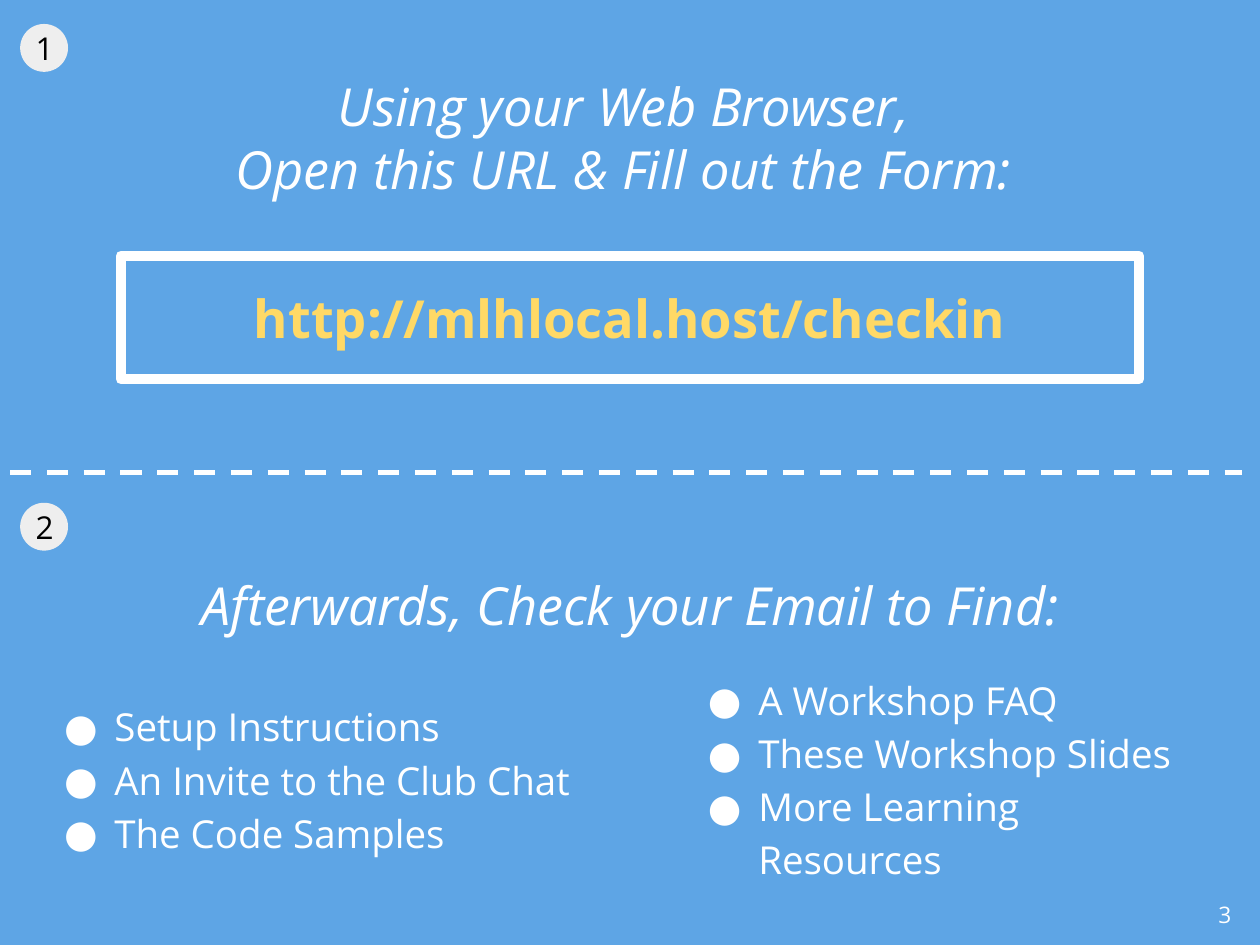
from lxml import etree
from pptx import Presentation
from pptx.dml.color import RGBColor
from pptx.enum.dml import MSO_LINE
from pptx.enum.shapes import MSO_CONNECTOR, MSO_SHAPE
from pptx.enum.text import MSO_ANCHOR, PP_ALIGN
from pptx.oxml.ns import qn
from pptx.util import Inches, Pt

LEFT, CENTER, RIGHT = PP_ALIGN.LEFT, PP_ALIGN.CENTER, PP_ALIGN.RIGHT
TOP, MIDDLE = MSO_ANCHOR.TOP, MSO_ANCHOR.MIDDLE
RECT, OVAL = MSO_SHAPE.RECTANGLE, MSO_SHAPE.OVAL

# Content
FONT = "Open Sans"
BLUE, WHITE, YELLOW, GREY, BLACK = "5EA5E5", "FFFFFF", "FFD966", "EEEEEE", "000000"
URL = "http://mlhlocal.host/checkin"
PAGE_NUMBER = "3"
STEPS = [  # number, badge top, heading top, heading lines
    ("1", 0.19, 0.63, ["Using your Web Browser, ", "Open this URL & Fill out the Form: "]),
    ("2", 3.99, 4.34, ["Afterwards, Check your Email to Find:"]),
]
LISTS = [  # left, width, items
    (0.31, 4.45, ["Setup Instructions", "An Invite to the Club Chat", "The Code Samples"]),
    (5.42, 4.28, ["A Workshop FAQ", "These Workshop Slides", "More Learning Resources"]),
]


def rgb(value):
    return RGBColor.from_string(value)


def add_bullet(p):
    pPr = p._p.get_or_add_pPr()
    pPr.set("marL", str(Inches(0.5)))
    pPr.set("indent", str(Inches(-0.4)))
    color = etree.SubElement(pPr, qn("a:buClr"))
    etree.SubElement(color, qn("a:srgbClr"), val=WHITE)
    etree.SubElement(pPr, qn("a:buFont"), typeface=FONT)
    etree.SubElement(pPr, qn("a:buChar"), char="●")
    p.line_spacing = 1.15


def write(sp, lines, size, color=WHITE, align=CENTER, anchor=MIDDLE,
          bold=False, italic=False, bullets=False):
    tf = sp.text_frame
    tf.word_wrap = True
    tf.vertical_anchor = anchor
    tf.margin_left = tf.margin_right = tf.margin_top = tf.margin_bottom = Inches(0.1)
    for i, line in enumerate(lines):
        p = tf.add_paragraph() if i else tf.paragraphs[0]
        p.alignment = align
        if bullets:
            add_bullet(p)
        r = p.add_run()
        r.text = line
        r.font.name, r.font.size = FONT, Pt(size)
        r.font.bold, r.font.italic = bold, italic
        r.font.color.rgb = rgb(color)


def add_text(s, box, lines, size, **style):
    write(s.shapes.add_textbox(*map(Inches, box)), lines, size, **style)


def add_filled(s, kind, box, fill):
    sp = s.shapes.add_shape(kind, *map(Inches, box))
    sp.shadow.inherit = False
    sp.fill.solid()
    sp.fill.fore_color.rgb = rgb(fill)
    sp.line.fill.background()
    return sp


prs = Presentation()
prs.slide_width, prs.slide_height = Inches(10), Inches(7.5)
s = prs.slides.add_slide(prs.slide_layouts[6])
s.background.fill.solid()
s.background.fill.fore_color.rgb = rgb(BLUE)

# Page number
add_text(s, (9.27, 7.05, 0.6, 0.57), [PAGE_NUMBER], 13, align=RIGHT, anchor=TOP)

# Framed address with rounded line joins
frame = add_filled(s, RECT, (0.96, 2.03, 8.08, 0.98), BLUE)
frame.line.color.rgb = rgb(WHITE)
frame.line.width = Pt(6)
etree.SubElement(frame.line._get_or_add_ln(), qn("a:round"))
write(frame, [URL], 30, color=YELLOW, bold=True)

# Dashed divider between the steps
divider = s.shapes.add_connector(
    MSO_CONNECTOR.STRAIGHT, Inches(0.08), Inches(3.75), Inches(9.86), Inches(3.75))
divider.line.color.rgb = rgb(WHITE)
divider.line.width = Pt(3)
divider.line.dash_style = MSO_LINE.DASH
etree.SubElement(divider._element.spPr, qn("a:effectLst"))

# Headings and numbered badges
for number, badge_top, heading_top, heading in STEPS:
    add_text(s, (0.18, heading_top, 9.65, 0.92), heading, 30, italic=True)
    add_filled(s, OVAL, (0.16, badge_top, 0.38, 0.38), GREY)
    add_text(s, (0.11, badge_top - 0.06, 0.49, 0.5), [number], 18, color=BLACK)

# Bulleted lists
for left, width, items in LISTS:
    add_text(s, (left, 5.25, width, 1.82), items, 22, align=LEFT, bullets=True)

prs.save("out.pptx")
